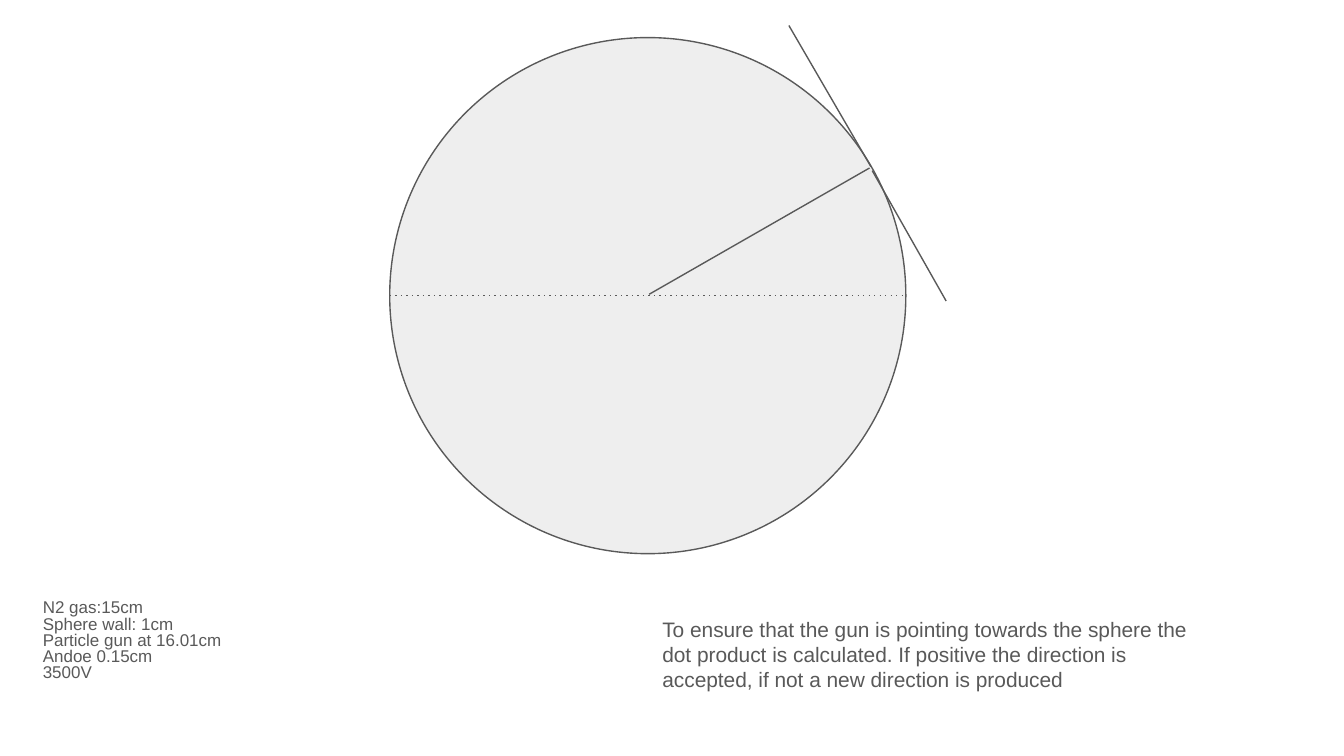
"""Build a slide on aiming a particle gun at a sphere."""
from dataclasses import dataclass

from pptx import Presentation
from pptx import util as u
from pptx.dml.color import RGBColor
from pptx.enum import shapes, text
from pptx.oxml.ns import qn
from lxml import etree

HUES = {"ink": "595959", "disc": "EEEEEE", "page": "FFFFFF"}
WIDE = u.Inches(10)


@dataclass
class Line:
    start: tuple[float, float]
    end: tuple[float, float]
    dash: str = ""


@dataclass
class Note:
    left: float
    top: float
    size: float
    pitch: float
    rows: list[str]


LEFT, TOP, SIDE = 2.9, 0.28, 3.84
MID = TOP + SIDE / 2

LINES = [
    Line((LEFT, MID), (LEFT + SIDE, MID), "dot"),
    Line((4.83, 2.19), (6.47, 1.25)),
    Line((6.48, 1.24), (5.87, 0.19)),
    Line((6.49, 1.27), (7.04, 2.24)),
]
NOTES = [
    Note(0.22, 4.37, 9.1, 0.8, [
        "N2 gas:15cm", "Sphere wall: 1cm ", "Particle gun at 16.01cm",
        "Andoe 0.15cm", "3500V"]),
    Note(4.83, 4.49, 11.2, 1.0, [
        "To ensure that the gun is pointing towards the sphere the dot "
        "product is calculated. If positive the direction is accepted, "
        "if not a new direction is produced "]),
]


def hue(name: str) -> RGBColor:
    return RGBColor.from_string(HUES[name])


def set_all(item, vals: dict) -> None:
    for key, val in vals.items():
        setattr(item, key, val)


def ink(line) -> None:
    line.color.rgb = hue("ink")
    line.width = u.Pt(0.75)


def add_disc(slide) -> None:
    disc = slide.shapes.add_shape(
        shapes.MSO_SHAPE.OVAL, *map(u.Inches, (LEFT, TOP, SIDE, SIDE)))
    disc.shadow.inherit = False
    disc.fill.solid()
    disc.fill.fore_color.rgb = hue("disc")
    ink(disc.line)


def add_line(slide, line: Line) -> None:
    edge = slide.shapes.add_connector(
        shapes.MSO_CONNECTOR.STRAIGHT,
        *map(u.Inches, line.start + line.end))
    ink(edge.line)
    props = edge._element.find(qn("p:spPr"))
    if line.dash:
        etree.SubElement(props.find(qn("a:ln")), qn("a:prstDash"),
                         val=line.dash)
    etree.SubElement(props, qn("a:effectLst"))


def add_note(slide, note: Note) -> None:
    box = slide.shapes.add_textbox(
        *map(u.Inches, (note.left, note.top, 4.12, 0.87)))
    frame = box.text_frame
    pad = u.Inches(0.1)
    set_all(frame, {
        "word_wrap": True, "auto_size": text.MSO_AUTO_SIZE.NONE,
        "vertical_anchor": text.MSO_ANCHOR.TOP,
        "margin_left": pad, "margin_right": pad,
        "margin_top": pad, "margin_bottom": pad})
    frame.text = "\n".join(note.rows)
    for para in frame.paragraphs:
        set_all(para, {"line_spacing": note.pitch,
                       "alignment": text.PP_ALIGN.LEFT})
        for run in para.runs:
            set_all(run.font, {"name": "Arial", "size": u.Pt(note.size)})
            run.font.color.rgb = hue("ink")


def main() -> None:
    deck = Presentation()
    set_all(deck, {"slide_width": WIDE, "slide_height": WIDE * 9 // 16})
    slide = deck.slides.add_slide(deck.slide_layouts[6])
    slide.background.fill.solid()
    slide.background.fill.fore_color.rgb = hue("page")
    add_disc(slide)
    for line in LINES:
        add_line(slide, line)
    for note in NOTES:
        add_note(slide, note)
    deck.save("out.pptx")


main()
